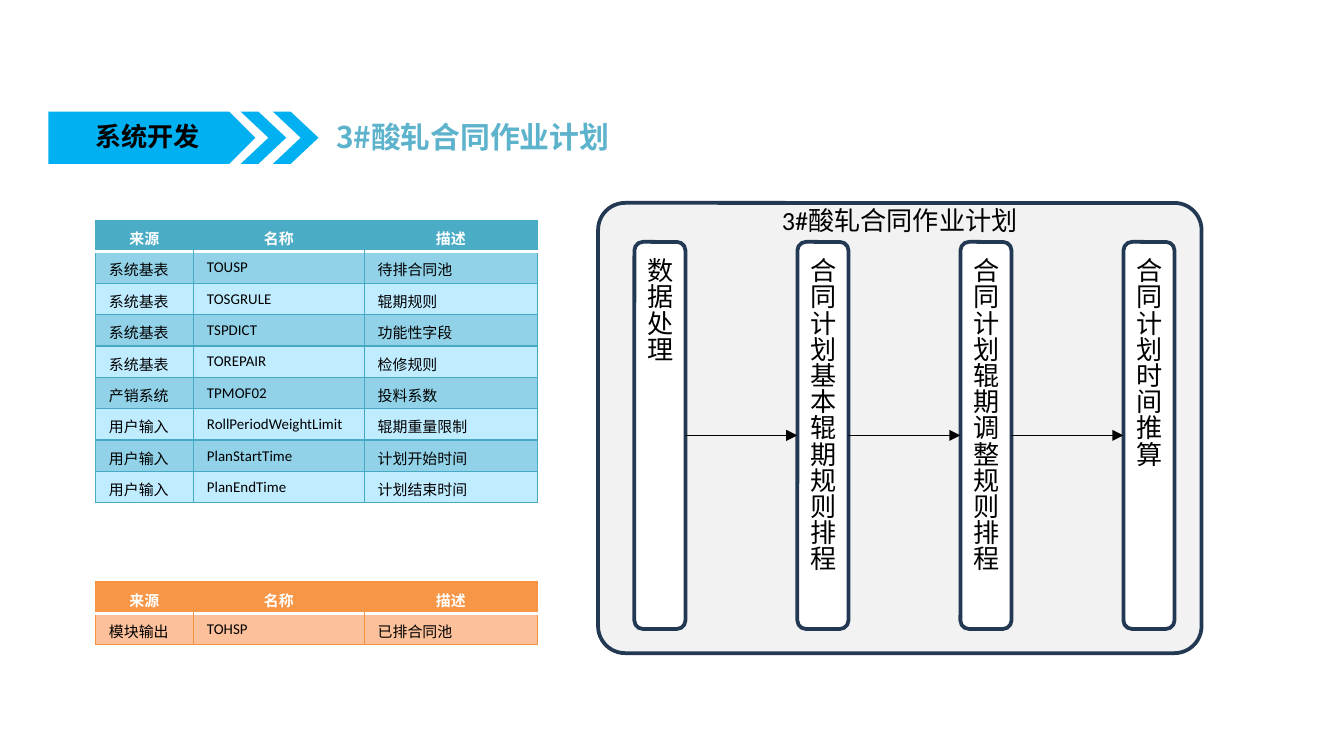
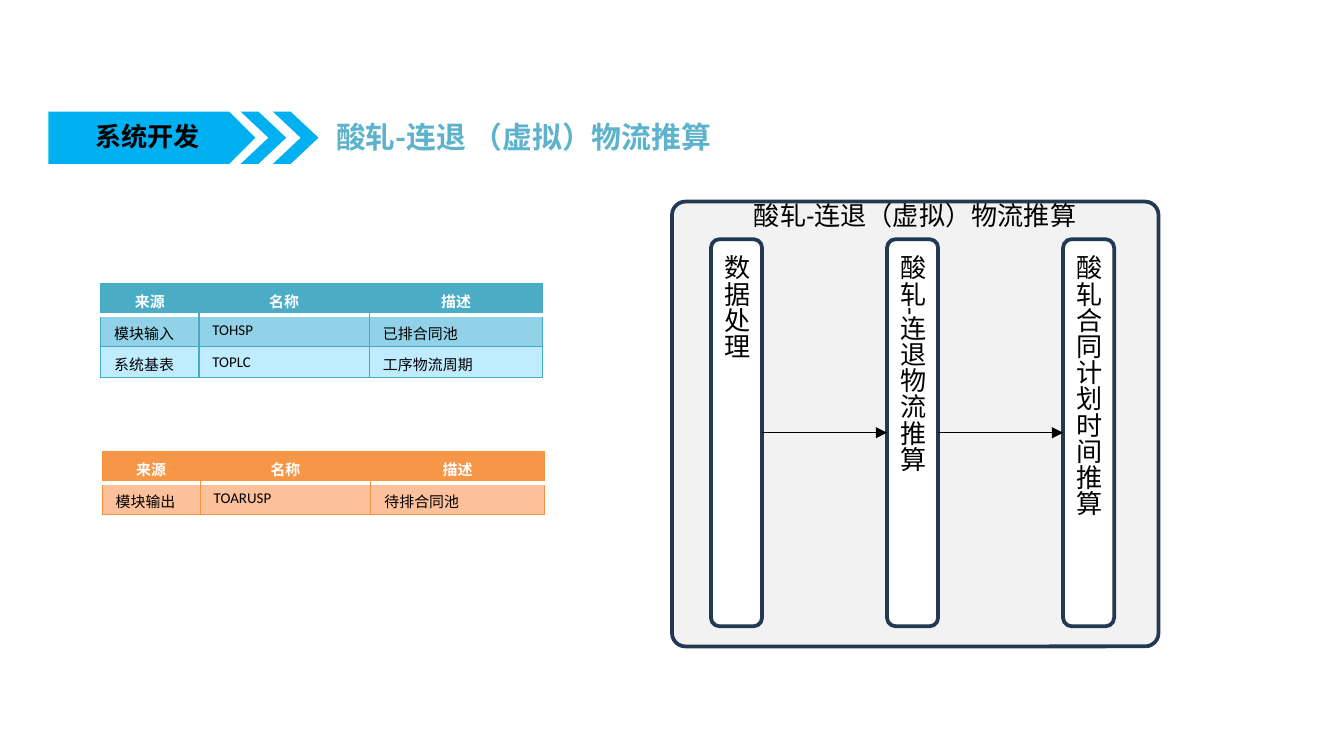
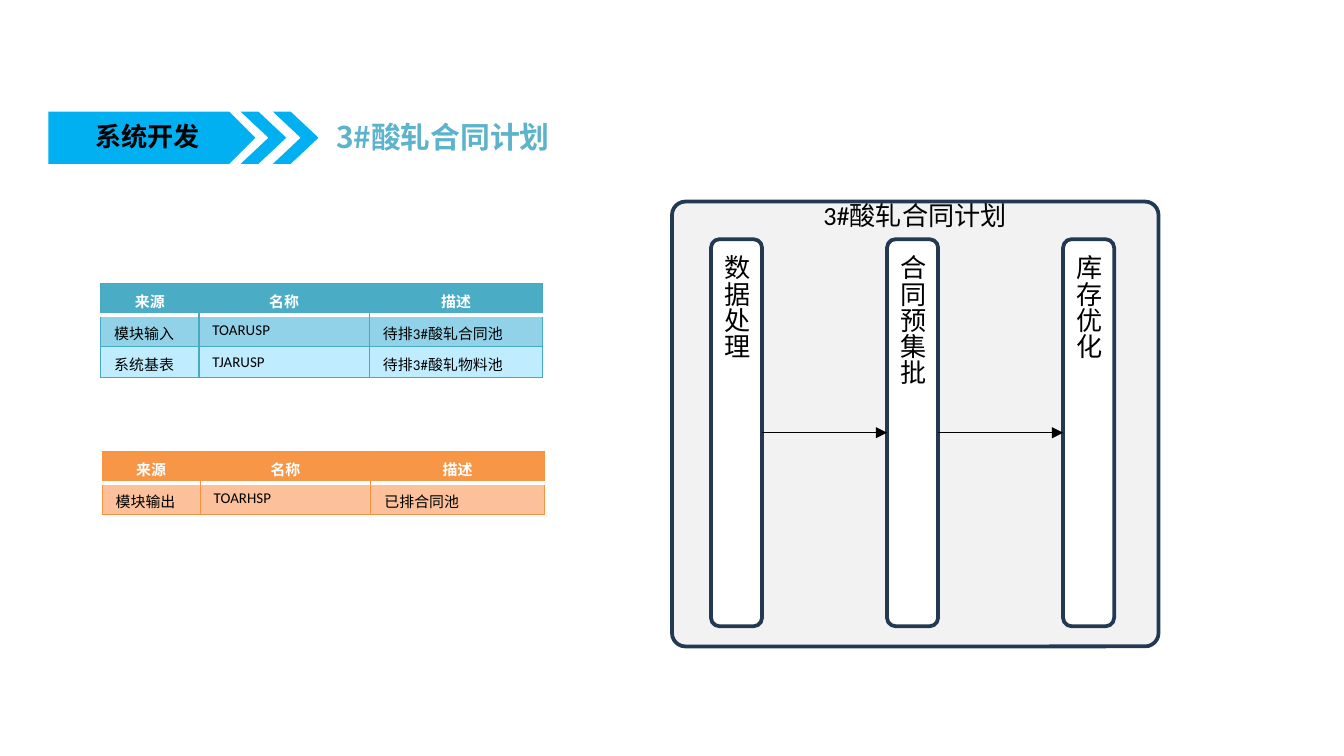
from dataclasses import dataclass
from itertools import pairwise

from pptx import Presentation
from pptx.dml.color import RGBColor
from pptx.enum.shapes import MSO_CONNECTOR, MSO_SHAPE
from pptx.enum.text import MSO_ANCHOR, PP_ALIGN
from pptx.oxml.ns import qn
from pptx.util import Inches, Pt
from lxml.etree import SubElement


@dataclass(frozen=True)
class Theme:
    sky: str = "00B0F0"
    title: str = "5DB3CC"
    navy: str = "233953"
    panel: str = "F2F2F2"
    white: str = "FFFFFF"
    black: str = "000000"
    latin: str = "Calibri"
    asian: str = "Noto Sans CJK SC"
    head: float = 16
    body: float = 14
    cell: float = 8
    thin: float = 0.75
    thick: float = 2


@dataclass(frozen=True)
class Tint:
    head: str
    line: str
    bands: tuple[str, str]


@dataclass(frozen=True)
class Box:
    col: float
    row: float
    wide: float
    high: float


@dataclass(frozen=True)
class Grid:
    col: float
    row: float
    tint: Tint
    rows: list[tuple[str, str, str]]


@dataclass(frozen=True)
class Flow:
    title: str
    panel: Box
    curve: float
    first: Box
    step: float
    names: list[str]


@dataclass(frozen=True)
class Page:
    title: str
    grids: list[Grid]
    flow: Flow


THEME = Theme()
BLUE = Tint("4BACC6", "46AAC5", ("91D2E8", "C0ECFF"))
GOLD = Tint("F79646", "F69240", ("FCC09A", "FCC09A"))
HEADS = ("来源", "名称", "描述")
COLS = (7.3, 12.7, 12.9)
HIGH = 2.33

# The slide is a grid of 100 columns by 56.25 rows of square cells
WIDTH, HEIGHT = Inches(10), Inches(5.625)
UNIT = WIDTH / 100


def size(count: float) -> int:
    return round(count * UNIT)


def place(box: Box) -> tuple[int, int, int, int]:
    return size(box.col), size(box.row), size(box.wide), size(box.high)


def tone(code: str) -> RGBColor:
    return RGBColor.from_string(code)


def write(frame, text: str, points: float, color: str, bold: bool = False,
          align=PP_ALIGN.LEFT, latin: str = THEME.latin) -> None:
    frame.text = text
    para = frame.paragraphs[0]
    para.alignment = align
    for run in para.runs:
        font = run.font
        font.size, font.bold, font.name = Pt(points), bold, latin
        font.color.rgb = tone(color)
        SubElement(font._element, qn("a:ea"), typeface=THEME.asian)


def shape(slide, kind, box: Box, fill: str, line: str = "", curve: float | None = None):
    item = slide.shapes.add_shape(kind, *place(box))
    item.shadow.inherit = False
    item.fill.solid()
    item.fill.fore_color.rgb = tone(fill)
    if line:
        item.line.color.rgb = tone(line)
        item.line.width = Pt(THEME.thick)
    else:
        item.line.fill.background()
    if curve is not None:
        item.adjustments[0] = curve
    return item


def arrow(slide, start, end) -> None:
    link = slide.shapes.add_connector(MSO_CONNECTOR.STRAIGHT, 0, 0, 0, 0)
    link.begin_connect(start, 3)
    link.end_connect(end, 1)
    link.line.color.rgb = tone(THEME.black)
    link.line.width = Pt(THEME.thin)
    SubElement(link.line._get_or_add_ln(), qn("a:tailEnd"), type="triangle")
    SubElement(link._element.spPr, qn("a:effectLst"))


def edge(cell, side: str, color: str, points: float) -> None:
    line = SubElement(cell._tc.get_or_add_tcPr(), qn(f"a:ln{side}"), w=str(Pt(points)))
    fill = SubElement(line, qn("a:solidFill"))
    SubElement(fill, qn("a:srgbClr"), val=color)


def banner(slide, title: str) -> None:
    # Section tag with two chevrons
    shape(slide, MSO_SHAPE.PENTAGON, Box(3.6, 8.3, 15.4, 3.9), THEME.sky)
    tag = slide.shapes.add_textbox(*place(Box(6.1, 8.6, 11.8, 3.1))).text_frame
    tag.word_wrap = True
    tag.vertical_anchor = MSO_ANCHOR.MIDDLE
    write(tag, "系统开发", THEME.body, THEME.black, True, latin=THEME.asian)
    for col in (17.9, 20.3):
        shape(slide, MSO_SHAPE.CHEVRON, Box(col, 8.3, 3.4, 3.9), THEME.sky, curve=0.61)
    # Title
    head = slide.shapes.title
    head.left, head.top, head.width, head.height = place(Box(24, 8.3, 36.8, 3.7))
    head.text_frame.word_wrap = True
    head.text_frame.vertical_anchor = MSO_ANCHOR.MIDDLE
    write(head.text_frame, title, THEME.head, THEME.title, True, latin=THEME.asian)


def chart(slide, flow: Flow) -> None:
    # Panel
    panel = shape(slide, MSO_SHAPE.ROUNDED_RECTANGLE, flow.panel, THEME.panel,
                  THEME.navy, flow.curve)
    frame = panel.text_frame
    frame.vertical_anchor = MSO_ANCHOR.TOP
    write(frame, flow.title, THEME.body, THEME.black, align=PP_ALIGN.CENTER)
    frame.paragraphs[0].line_spacing = Pt(10)
    # Upright steps, joined by arrows
    bars = []
    for i, name in enumerate(flow.names):
        box = Box(flow.first.col + i * flow.step, flow.first.row,
                  flow.first.wide, flow.first.high)
        bar = shape(slide, MSO_SHAPE.ROUNDED_RECTANGLE, box, THEME.white, THEME.navy)
        bar.text_frame.vertical_anchor = MSO_ANCHOR.MIDDLE
        write(bar.text_frame, name, THEME.body, THEME.black, align=PP_ALIGN.CENTER)
        bar.text_frame._txBody.bodyPr.set("vert", "eaVert")
        bars.append(bar)
    for start, end in pairwise(bars):
        arrow(slide, start, end)


def table(slide, grid: Grid) -> None:
    rows = [HEADS, *grid.rows]
    box = Box(grid.col, grid.row, sum(COLS), HIGH * len(rows))
    body = slide.shapes.add_table(len(rows), len(COLS), *place(box)).table
    body.horz_banding = False
    for col, wide in zip(body.columns, COLS):
        col.width = size(wide)
    for r, texts in enumerate(rows):
        body.rows[r].height = size(HIGH)
        for c, text in enumerate(texts):
            cell, top = body.cell(r, c), r == 0
            write(cell.text_frame, text, THEME.cell,
                  THEME.white if top else THEME.black, top,
                  PP_ALIGN.CENTER if top else PP_ALIGN.LEFT)
            # Borders come before the fill; a white rule runs under the header
            for side in "LRTB":
                rule = (r, side) in ((0, "B"), (1, "T"))
                inner = top and (side, c) in (("L", 1), ("L", 2), ("R", 0), ("R", 1))
                color = THEME.white if rule else grid.tint.head if inner else grid.tint.line
                edge(cell, side, color, THEME.thick if rule else THEME.thin)
            cell.fill.solid()
            cell.fill.fore_color.rgb = tone(
                grid.tint.head if top else grid.tint.bands[(r - 1) % 2])


def short(title: str, label: str, source: list[tuple[str, str, str]],
          result: tuple[str, str, str], names: list[str]) -> Page:
    return Page(
        title,
        [Grid(7.5, 21.1, BLUE, source), Grid(7.6, 33.6, GOLD, [result])],
        Flow(label, Box(50, 15, 36.2, 33.1), 0.03,
             Box(52.9, 17.8, 3.8, 28.8), 13.1, names))


PAGES = [
    Page(
        "3#酸轧合同作业计划",
        [Grid(7.1, 16.4, BLUE, [
            ("系统基表", "TOUSP", "待排合同池"),
            ("系统基表", "TOSGRULE", "辊期规则"),
            ("系统基表", "TSPDICT", "功能性字段"),
            ("系统基表", "TOREPAIR", "检修规则"),
            ("产销系统", "TPMOF02", "投料系数"),
            ("用户输入", "RollPeriodWeightLimit", "辊期重量限制"),
            ("用户输入", "PlanStartTime", "计划开始时间"),
            ("用户输入", "PlanEndTime", "计划结束时间")]),
         Grid(7.1, 43.3, GOLD, [("模块输出", "TOHSP", "已排合同池")])],
        Flow("3#酸轧合同作业计划", Box(44.5, 15.1, 44.9, 33.5), 0.06,
             Box(47.2, 18, 3.8, 28.8), 12.13,
             ["数据处理", "合同计划基本辊期规则排程",
              "合同计划辊期调整规则排程", "合同计划时间推算"])),
    short(
        "酸轧-连退 （虚拟）物流推算", "酸轧-连退（虚拟）物流推算",
        [("模块输入", "TOHSP", "已排合同池"), ("系统基表", "TOPLC", "工序物流周期")],
        ("模块输出", "TOARUSP", "待排合同池"),
        ["数据处理", "酸轧-连退物流推算", "酸轧合同计划时间推算"]),
    short(
        "3#酸轧合同计划", "3#酸轧合同计划",
        [("模块输入", "TOARUSP", "待排3#酸轧合同池"),
         ("系统基表", "TJARUSP", "待排3#酸轧物料池")],
        ("模块输出", "TOARHSP", "已排合同池"),
        ["数据处理", "合同预集批", "库存优化"]),
]


def main() -> None:
    deck = Presentation()
    deck.slide_width, deck.slide_height = WIDTH, HEIGHT
    for page in PAGES:
        slide = deck.slides.add_slide(deck.slide_layouts[5])
        banner(slide, page.title)
        chart(slide, page.flow)
        for grid in page.grids:
            table(slide, grid)
    deck.save("out.pptx")


if __name__ == "__main__":
    main()
